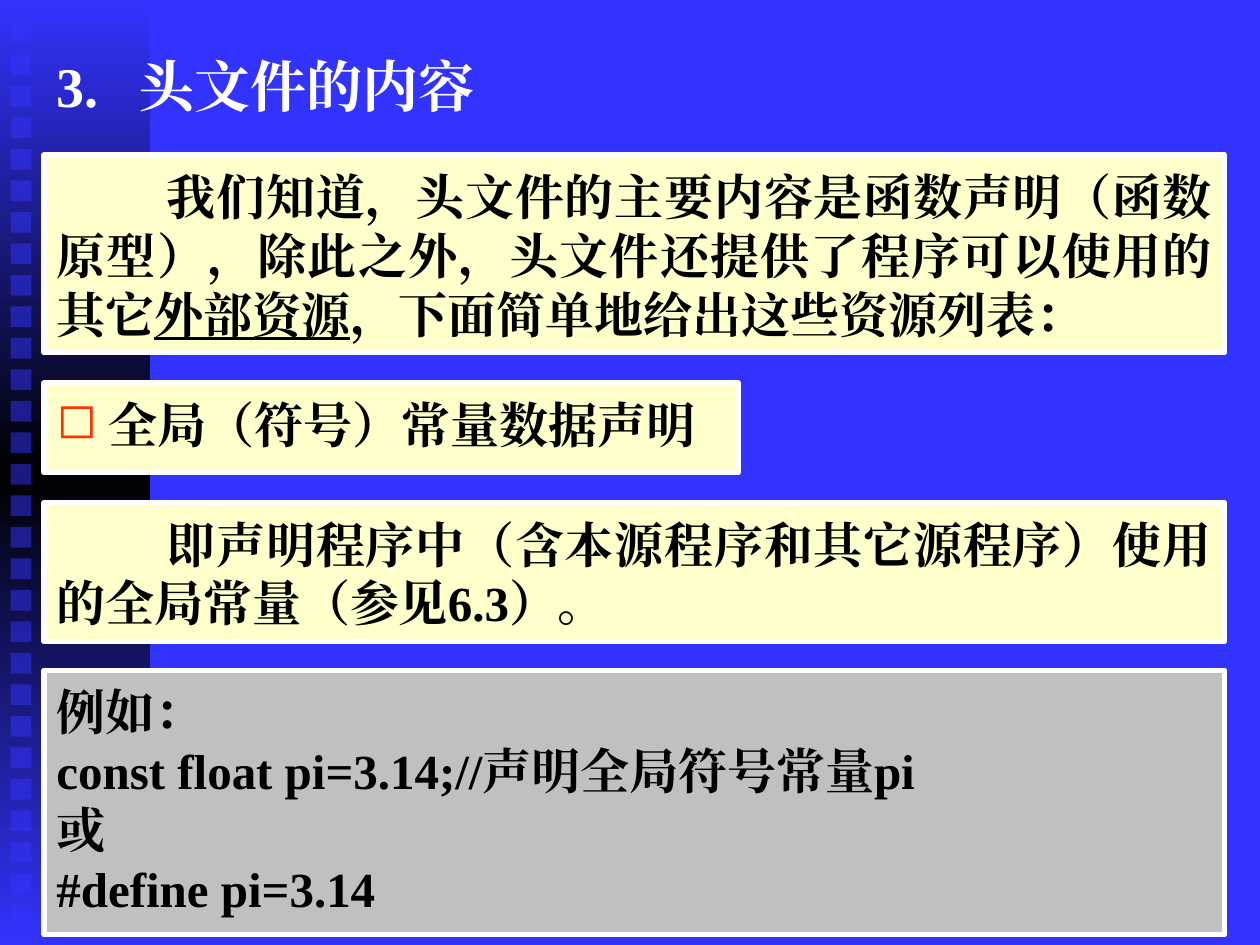
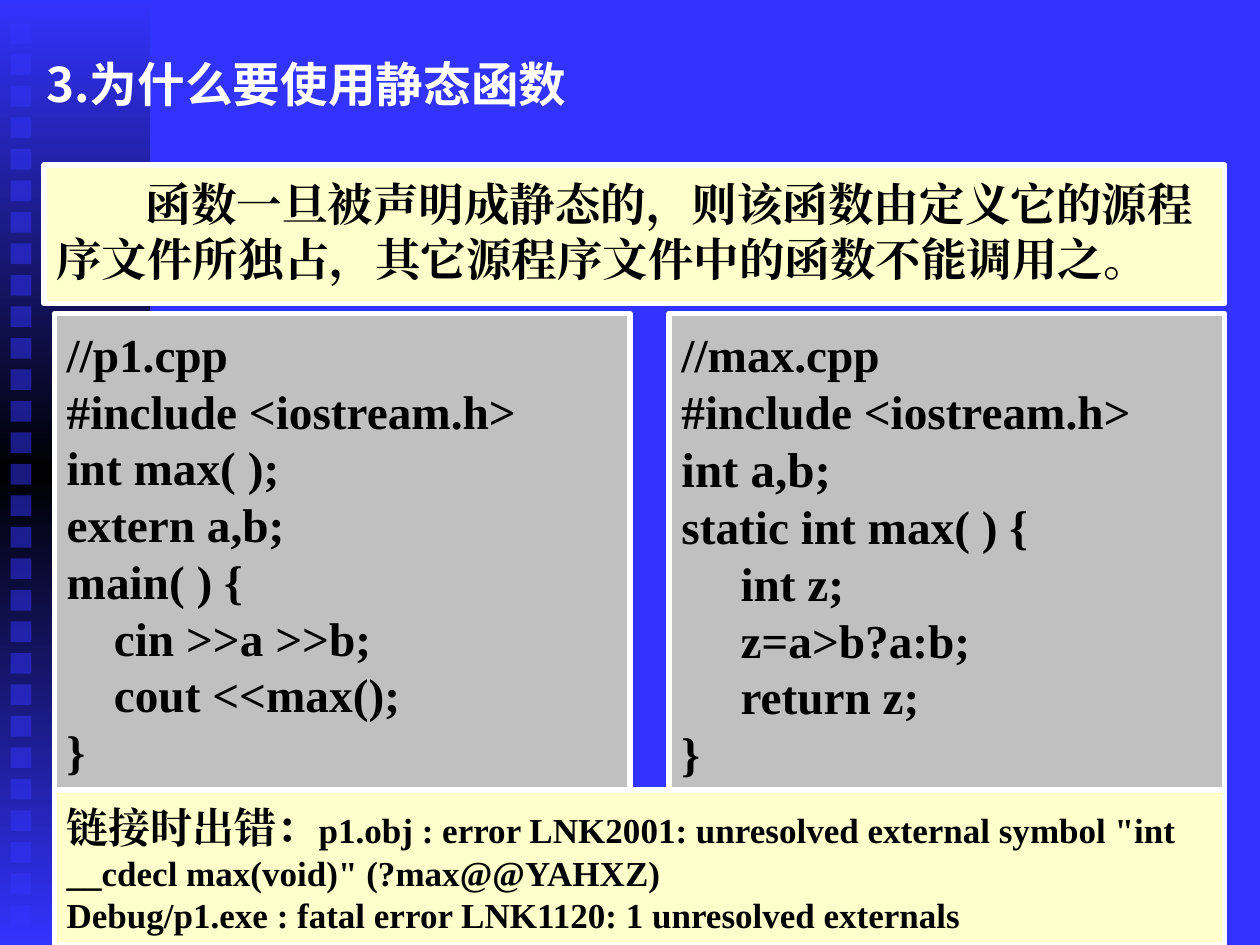
from copy import deepcopy

from lxml import etree
from pptx import Presentation
from pptx.dml.color import RGBColor
from pptx.enum.shapes import MSO_SHAPE
from pptx.enum.text import MSO_ANCHOR, PP_ALIGN
from pptx.oxml.ns import qn
from pptx.util import Pt

RECT = MSO_SHAPE.RECTANGLE
TOP, MIDDLE = MSO_ANCHOR.TOP, MSO_ANCHOR.MIDDLE
LEFT, JUSTIFY = PP_ALIGN.LEFT, PP_ALIGN.JUSTIFY

COLORS = {"blue": "3333FF", "black": "000000", "white": "FFFFFF",
          "cream": "FFFFCC", "gray": "C0C0C0", "bullet": "FF3300"}
SERIF, SANS = "Times New Roman", "Noto Sans CJK SC"
WIDTH, HEIGHT = 720, 540
BAND_WIDTH = 85.7
SQUARES, SQUARE_TOP, SQUARE_STEP, SQUARE_SIZE = 29, 13, 18, 12

# A paragraph is a list of runs: (text, size, underlined).
SLIDES = [
    {
        "title": {"at": (25.2, 25.9, 666, 45.4), "anchor": MIDDLE, "tab": 47,
                  "paragraphs": [[("3.\t头文件的内容", 32, False)]]},
        "panels": [
            {"at": (25.2, 88.6, 674.6, 113), "fill": "cream", "align": JUSTIFY, "indent": 63,
             "paragraphs": [[
                 ("我们知道，头文件的主要内容是函数声明（函数原型），除此之外，"
                  "头文件还提供了程序可以使用的其它", 28, False),
                 ("外部资源", 28, True),
                 ("，下面简单地给出这些资源列表：", 28, False)]]},
            {"at": (25.2, 218.9, 396.7, 51.1), "fill": "cream", "align": JUSTIFY, "bullet": "◻",
             "paragraphs": [[("全局（符号）常量数据声明", 28, False)]]},
            {"at": (25.2, 287.3, 674.6, 79.2), "fill": "cream", "align": JUSTIFY, "indent": 63,
             "paragraphs": [[("即声明程序中（含本源程序和其它源程序）使用的全局常量（参见6.3）。",
                              28, False)]]},
            {"at": (25.2, 383, 674.6, 151.2), "fill": "gray",
             "paragraphs": [[(line, 28, False)] for line in (
                 "例如：", "const float pi=3.14;//声明全局符号常量pi", "或", "#define pi=3.14")]},
        ],
    },
    {
        "title": {"at": (19.4, 31.7, 612, 41.8), "font": SANS, "spacing": 0.9,
                  "paragraphs": [[("3.为什么要使用静态函数", 27.2, False)]]},
        "panels": [
            {"at": (25.2, 94.3, 674.6, 79.2), "fill": "cream", "indent": 51,
             "paragraphs": [[("函数一旦被声明成静态的，则该函数由定义它的源程序文件所独占，"
                              "其它源程序文件中的函数不能调用之。", 26, False)]]},
            {"at": (31, 179.3, 329, 277.9), "fill": "gray",
             "paragraphs": [[(line, 27, False)] for line in (
                 "//p1.cpp", "#include <iostream.h>", "int max( );", "extern a,b;",
                 "main( ) {", "    cin >>a >>b;", "    cout <<max();", "}")]},
            {"at": (382.3, 179.3, 317.5, 277.9), "fill": "gray",
             "paragraphs": [[(line, size, False)] for line, size in (
                 ("//max.cpp", 27), ("#include <iostream.h>", 27), ("int a,b;", 28),
                 ("static int max( ) {", 27), ("     int z;", 27),
                 ("     z=a>b?a:b;", 27), ("     return z;", 27), ("}", 27))]},
            {"at": (31, 451.4, 668.8, 88.6), "fill": "cream",
             "paragraphs": [
                 [("链接时出错：", 24, False),
                  ('p1.obj : error LNK2001: unresolved external symbol '
                   '"int __cdecl max(void)" (?max@@YAHXZ)', 20, False)],
                 [("Debug/p1.exe : fatal error LNK1120: 1 unresolved externals", 20, False)]]},
        ],
    },
]


def rgb(name):
    return RGBColor.from_string(COLORS[name])


def add_rect(slide, at, fill=None):
    sp = slide.shapes.add_shape(RECT, *map(Pt, at))
    sp.shadow.inherit = False
    sp.line.fill.background()
    if fill:
        sp.fill.solid()
        sp.fill.fore_color.rgb = rgb(fill)
    return sp


def add_side_band(slide):
    """Blue-black-blue strip with a column of half-transparent squares."""
    band = add_rect(slide, (0, 0, BAND_WIDTH, HEIGHT))
    band.fill.gradient()
    band.fill.gradient_angle = 90
    stops = next(band._element.iter(qn("a:gsLst")))
    stops.append(deepcopy(stops[0]))
    for i, (stop, color) in enumerate(zip(band.fill.gradient_stops, ("blue", "black", "blue"))):
        stop.position = i / 2
        stop.color.rgb = rgb(color)
    for i in range(SQUARES):
        top = SQUARE_TOP + i * SQUARE_STEP
        sp = add_rect(slide, (6, top, SQUARE_SIZE, SQUARE_SIZE), "blue")
        color = next(sp._element.spPr.iter(qn("a:srgbClr")))
        etree.SubElement(color, qn("a:alpha"), val="50000")


def set_indent(p, item):
    pPr = p._p.get_or_add_pPr()
    if "indent" in item:
        pPr.set("indent", str(Pt(item["indent"])))
    if "bullet" in item:
        hang = Pt(29.5)
        pPr.set("marL", str(hang))
        pPr.set("indent", str(-hang))
        color = etree.SubElement(pPr, qn("a:buClr"))
        etree.SubElement(color, qn("a:srgbClr"), val=COLORS["bullet"])
        etree.SubElement(pPr, qn("a:buChar"), char=item["bullet"])
    if "tab" in item:
        tabs = etree.SubElement(pPr, qn("a:tabLst"))
        etree.SubElement(tabs, qn("a:tab"), pos=str(Pt(item["tab"])), algn="l")


def write_text(sp, item, color, top_inset):
    tf = sp.text_frame
    tf.word_wrap = True
    tf.vertical_anchor = item.get("anchor", TOP)
    tf.margin_left = tf.margin_right = Pt(7.2)
    tf.margin_top, tf.margin_bottom = Pt(top_inset), Pt(3.6)
    font = item.get("font", SERIF)
    for i, runs in enumerate(item["paragraphs"]):
        p = tf.add_paragraph() if i else tf.paragraphs[0]
        set_indent(p, item)
        p.alignment = item.get("align", LEFT)
        if "spacing" in item:
            p.line_spacing = item["spacing"]
        for text, size, underlined in runs:
            r = p.add_run()
            r.text = text
            r.font.name, r.font.size, r.font.bold = font, Pt(size), True
            r.font.color.rgb = rgb(color)
            if underlined:
                r.font.underline = True
            etree.SubElement(r._r.get_or_add_rPr(), qn("a:ea"), typeface=font)


def add_title(slide, title):
    sp = slide.shapes.add_textbox(*map(Pt, title["at"]))
    write_text(sp, title, "white", 3.6)


def add_panel(slide, panel):
    sp = add_rect(slide, panel["at"], panel["fill"])
    sp.line.color.rgb = rgb("white")
    sp.line.width = Pt(3)
    write_text(sp, panel, "black", 6.5)


def main():
    prs = Presentation()
    prs.slide_width, prs.slide_height = Pt(WIDTH), Pt(HEIGHT)
    for content in SLIDES:
        s = prs.slides.add_slide(prs.slide_layouts[6])
        s.background.fill.solid()
        s.background.fill.fore_color.rgb = rgb("blue")
        add_side_band(s)
        add_title(s, content["title"])
        for panel in content["panels"]:
            add_panel(s, panel)
    prs.save("out.pptx")


if __name__ == "__main__":
    main()
